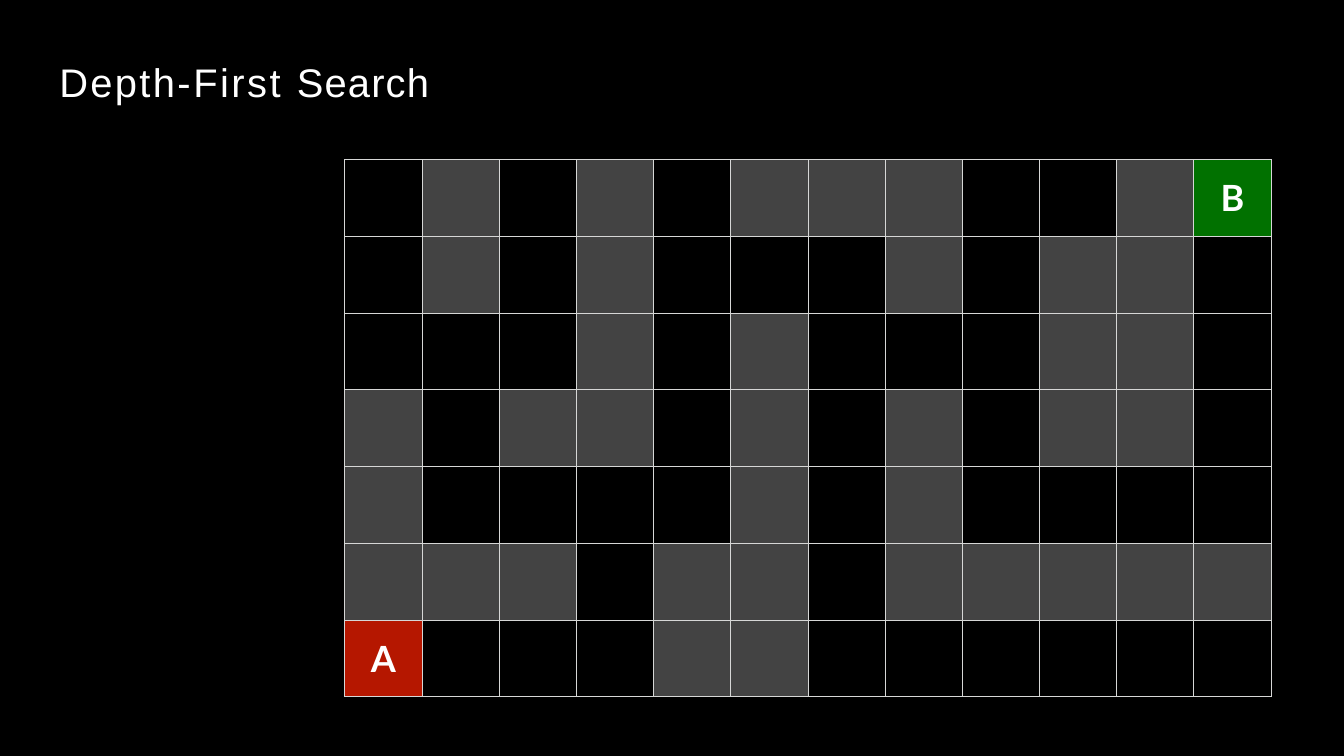
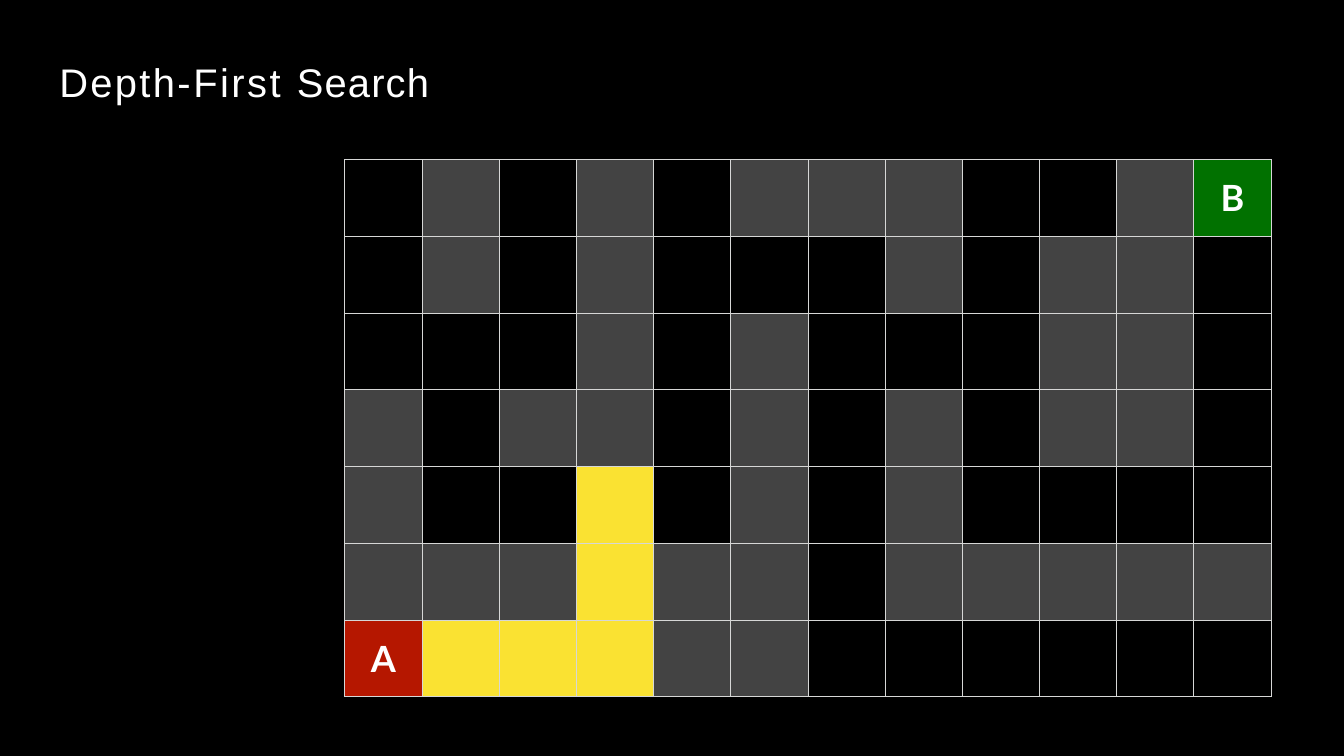
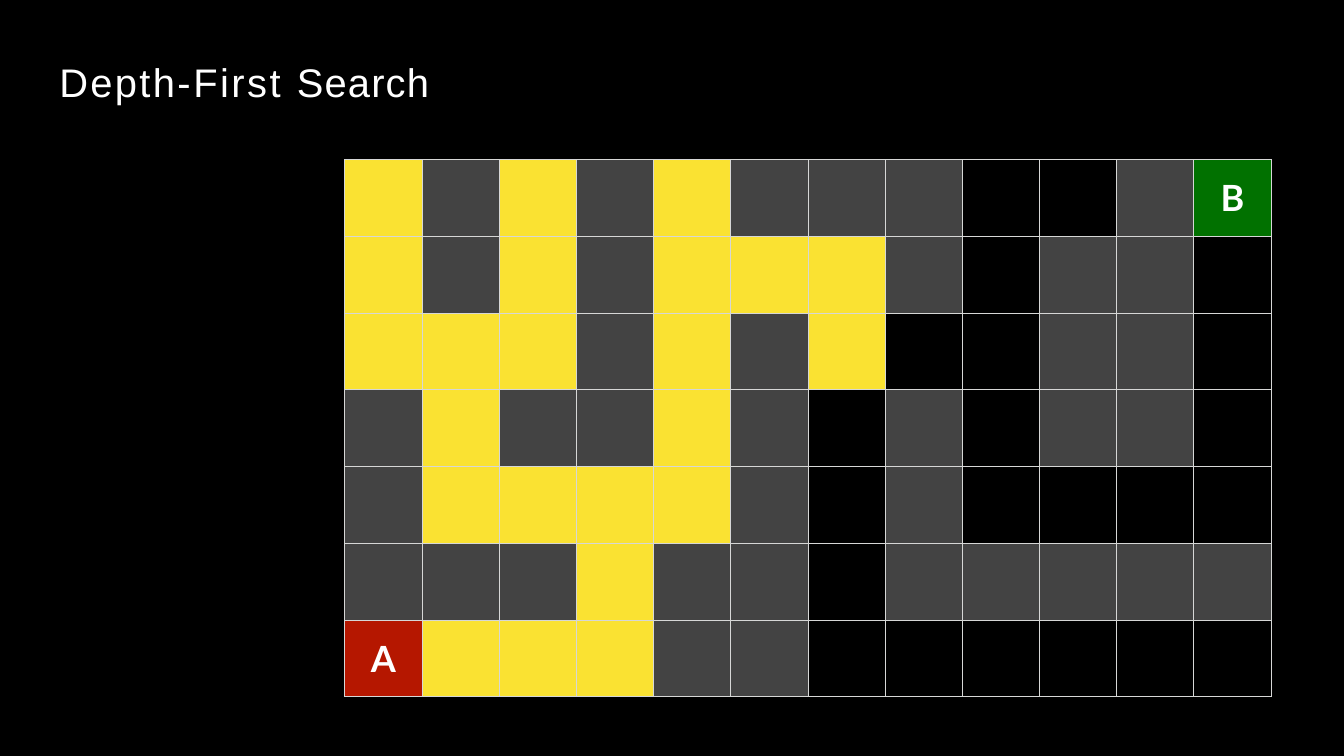
import dataclasses

import pptx
import pptx.dml.color
import pptx.enum.text
import pptx.oxml
import pptx.oxml.ns
import pptx.util

Inches = pptx.util.Inches
Pt = pptx.util.Pt


@dataclasses.dataclass(frozen=True)
class Theme:
    """Colours, fonts and type sizes of the deck."""
    background: str = "000000"
    text: str = "FFFFFF"
    wall: str = "434343"
    start: str = "B51700"
    goal: str = "017100"
    explored: str = "FAE232"
    grid: str = "D6D7D6"
    title_font: str = "Arial"
    title_size: float = 47
    label_font: str = "Lato"
    label_size: float = 42.5
    border: float = 1


MAZE = [
    ".#.#.###..#B",
    ".#.#...#.##.",
    "...#.#...##.",
    "#.##.#.#.##.",
    "#....#.#....",
    "###.##.#####",
    "A...##......",
]
TITLE = [("Depth-", 2.8), ("First ", 2.9), ("Search", 1.4)]
LABEL_SPACING = {"A": 4.2, "B": 1.2}

FIRST_STEPS = {(6, 1), (6, 2), (6, 3), (5, 3), (4, 3)}
LEFT_BRANCH = {(4, 2), (4, 1), (3, 1), (2, 1), (2, 0), (1, 0), (0, 0),
               (2, 2), (1, 2), (0, 2)}
RIGHT_BRANCH = {(4, 4), (3, 4), (2, 4), (1, 4), (0, 4),
                (1, 5), (1, 6), (2, 6)}
STAGES = [set(), FIRST_STEPS, FIRST_STEPS | LEFT_BRANCH | RIGHT_BRANCH]


def rgb(value):
    """Return a colour object for a hex value."""
    return pptx.dml.color.RGBColor.from_string(value)


class Deck:
    """Holds the style and the current slide."""

    def __init__(self, theme):
        """Start a presentation with a plain dark background."""
        self.theme = theme
        self.prs = pptx.Presentation()
        self.prs.slide_width = Inches(21.99)
        self.prs.slide_height = Inches(12.37)
        fill = self.prs.slide_master.background.fill
        fill.solid()
        fill.fore_color.rgb = rgb(theme.background)
        self.s = None

    def slide(self):
        """Add a blank slide and make it current."""
        self.s = self.prs.slides.add_slide(self.prs.slide_layouts[6])

    def spaced_text(self, p, runs, font, size, bold=False):
        """Put letter-spaced runs in one paragraph style."""
        p.font.name = font
        p.font.size = Pt(size)
        p.font.bold = bold
        p.font.color.rgb = rgb(self.theme.text)
        for text, spacing in runs:
            r = p.add_run()
            r.text = text
            r._r.get_or_add_rPr().set("spc", str(round(spacing * 100)))

    def title(self, runs):
        """Add the slide title."""
        sp = self.s.shapes.add_textbox(Inches(0.97), Inches(0.94), Inches(12.64), Inches(0.8))
        tf = sp.text_frame
        tf.word_wrap = True
        tf.margin_left = tf.margin_top = tf.margin_right = tf.margin_bottom = 0
        self.spaced_text(tf.paragraphs[0], runs, self.theme.title_font, self.theme.title_size)

    def borders(self, cell):
        """Draw a thin line on every side of a cell."""
        tc_pr = cell._tc.get_or_add_tcPr()
        for side in "LRTB":
            tc_pr.append(pptx.oxml.parse_xml(
                f'<a:ln{side} {pptx.oxml.ns.nsdecls("a")} w="{Pt(self.theme.border)}">'
                f'<a:solidFill><a:srgbClr val="{self.theme.grid}"/></a:solidFill></a:ln{side}>'))

    def label(self, cell, letter):
        """Put a letter in the middle of a cell."""
        cell.margin_left = cell.margin_top = cell.margin_right = cell.margin_bottom = 0
        cell.vertical_anchor = pptx.enum.text.MSO_ANCHOR.MIDDLE
        p = cell.text_frame.paragraphs[0]
        p.alignment = pptx.enum.text.PP_ALIGN.CENTER
        self.spaced_text(p, [(letter, LABEL_SPACING[letter])],
                         self.theme.label_font, self.theme.label_size, bold=True)

    def maze(self, rows, explored):
        """Add the maze table with its explored cells coloured."""
        table = self.s.shapes.add_table(len(rows), len(rows[0]), Inches(5.64), Inches(2.61),
                                        Inches(15.16), Inches(8.79)).table
        table.first_row = table.horz_banding = False
        colours = {"#": self.theme.wall, "A": self.theme.start, "B": self.theme.goal}
        for i, row in enumerate(rows):
            for j, mark in enumerate(row):
                cell = table.cell(i, j)
                self.borders(cell)
                colour = self.theme.explored if (i, j) in explored else colours.get(mark)
                if colour:
                    cell.fill.solid()
                    cell.fill.fore_color.rgb = rgb(colour)
                else:
                    cell.fill.background()
                if mark in LABEL_SPACING:
                    self.label(cell, mark)


def main():
    """Build one slide for each stage of the search."""
    deck = Deck(Theme())
    for explored in STAGES:
        deck.slide()
        deck.maze(MAZE, explored)
        deck.title(TITLE)
    deck.prs.save("out.pptx")


if __name__ == "__main__":
    main()
